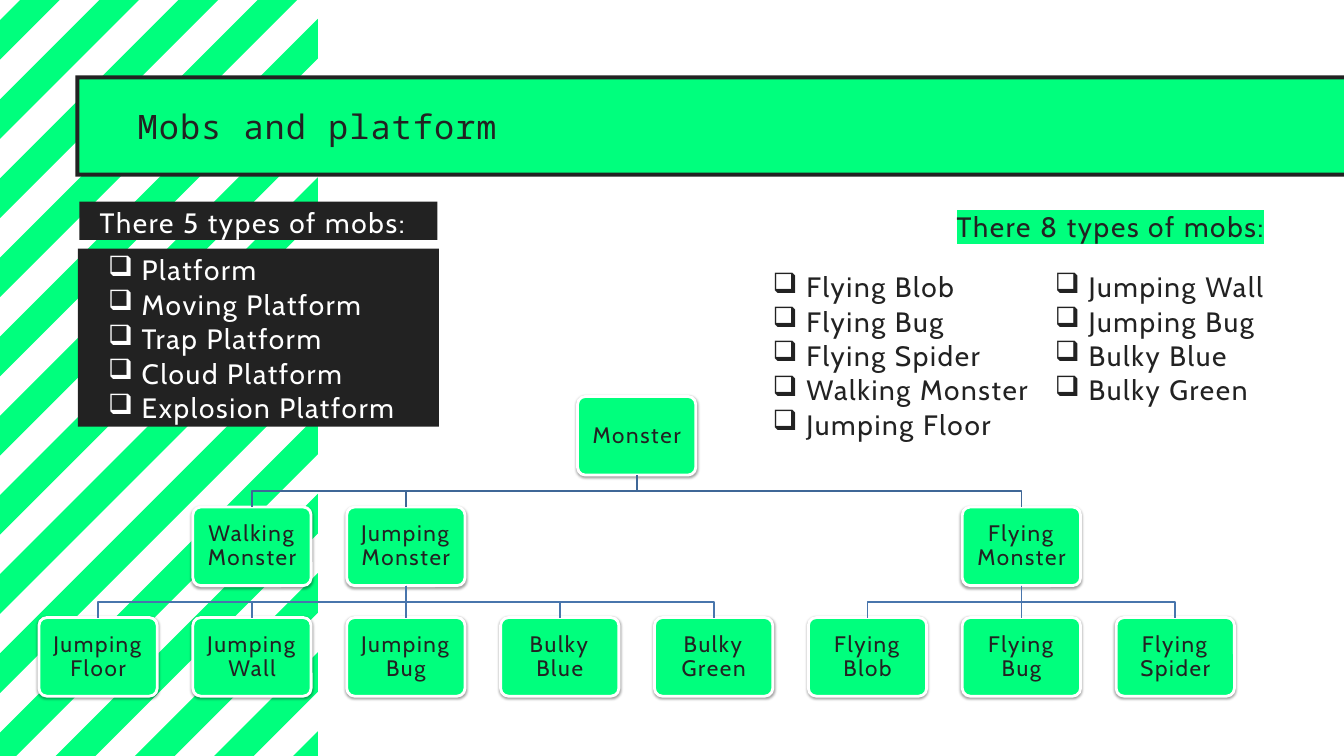
from lxml import etree
from pptx import Presentation
from pptx.dml.color import RGBColor
from pptx.enum.shapes import MSO_CONNECTOR, MSO_SHAPE
from pptx.enum.text import MSO_ANCHOR, PP_ALIGN
from pptx.oxml.ns import qn
from pptx.util import Inches, Pt

RECTANGLE, ROUNDED, FRAME = MSO_SHAPE.RECTANGLE, MSO_SHAPE.ROUNDED_RECTANGLE, MSO_SHAPE.FRAME
STRAIGHT = MSO_CONNECTOR.STRAIGHT
LEFT, RIGHT, CENTER, JUSTIFY = PP_ALIGN.LEFT, PP_ALIGN.RIGHT, PP_ALIGN.CENTER, PP_ALIGN.JUSTIFY
TOP, MIDDLE = MSO_ANCHOR.TOP, MSO_ANCHOR.MIDDLE

GREEN = RGBColor(0x00, 0xFF, 0x7D)
INK = RGBColor(0x22, 0x22, 0x22)
WHITE = RGBColor(0xFF, 0xFF, 0xFF)
BRANCH_COLORS = [RGBColor(0x3F, 0x67, 0x97), RGBColor(0x48, 0x75, 0xAC)]

TITLE = "Mobs and platform"
PLATFORM_HEADING = "There 5 types of mobs:"
PLATFORMS = ["Platform", "Moving Platform", "Trap Platform", "Cloud Platform", "Explosion Platform"]
MOB_HEADING = "There 8 types of mobs:"
MOB_COLUMNS = [
    (11.05, 2.65, ["Flying Blob", "Flying Bug", "Flying Spider", "Walking Monster", "Jumping Floor"]),
    (15.25, 2.15, ["Jumping Wall", "Jumping Bug", "Bulky Blue", "Bulky Green"]),
]
TREE = ("Monster", 3.5, [
    ("Walking Monster", 1, []),
    ("Jumping Monster", 2, [
        ("Jumping Floor", 0, []),
        ("Jumping Wall", 1, []),
        ("Jumping Bug", 2, []),
        ("Bulky Blue", 3, []),
        ("Bulky Green", 4, []),
    ]),
    ("Flying Monster", 6, [
        ("Flying Blob", 5, []),
        ("Flying Bug", 6, []),
        ("Flying Spider", 7, []),
    ]),
])

SLIDE_W, SLIDE_H = 20, 11.25
STRIPES_LEFT, STRIPES_TOP, STRIPES_SIZE = -16.82, -4.19, 21.55
STRIPE_START, STRIPE_PITCH, STRIPE_WIDTH, STRIPES_EACH_WAY = 0.3, 1.178, 0.59, 18
CARD_W, CARD_H = 1.76, 1.17
TREE_LEFT, TREE_TOP, COLUMN_PITCH, LEVEL_PITCH = 0.58, 5.9, 2.29, 1.645

prs = Presentation()
prs.slide_width, prs.slide_height = Inches(SLIDE_W), Inches(SLIDE_H)
slide = prs.slides.add_slide(prs.slide_layouts[6])
shapes = slide.shapes


def add_box(preset, x, y, w, h, fill):
    box = shapes.add_shape(preset, Inches(x), Inches(y), Inches(w), Inches(h))
    box.shadow.inherit = False
    box.fill.solid()
    box.fill.fore_color.rgb = fill
    box.line.fill.background()
    return box


def add_textbox(x, y, w, h):
    return shapes.add_textbox(Inches(x), Inches(y), Inches(w), Inches(h))


def write(holder, lines, size=30, color=INK, font="Cabin", tracking=1.8, spacing=Pt(36.9),
          align=LEFT, anchor=TOP, margins=(0.1, 0.05, 0.1, 0.05)):
    frame = holder.text_frame
    frame.text = "\n".join(lines)
    frame.word_wrap = True
    frame.vertical_anchor = anchor
    (frame.margin_left, frame.margin_top,
     frame.margin_right, frame.margin_bottom) = map(Inches, margins)
    for paragraph in frame.paragraphs:
        paragraph.alignment = align
        paragraph.line_spacing = spacing
        for run in paragraph.runs:
            run.font.size, run.font.name = Pt(size), font
            run.font.color.rgb = color
            run.font._element.set("spc", str(round(tracking * 100)))


def write_checklist(holder, items, color=INK):
    write(holder, items, color=color, align=JUSTIFY)
    for paragraph in holder.text_frame.paragraphs:
        properties = paragraph._p.get_or_add_pPr()
        properties.set("marL", str(Inches(0.85)))
        properties.set("indent", str(Inches(-0.5)))
        etree.SubElement(properties, qn("a:buChar")).set("char", "❑")


def highlight(run, color):
    mark = etree.Element(qn("a:highlight"))
    etree.SubElement(mark, qn("a:srgbClr")).set("val", str(color))
    run.font._element.find(qn("a:solidFill")).addnext(mark)


def add_card_shadow(card):
    effects = card._element.spPr.find(qn("a:effectLst"))
    shadow = etree.SubElement(effects, qn("a:outerShdw"), blurRad=str(Pt(3.1)),
                              dist=str(Pt(1.6)), dir="5400000", rotWithShape="0")
    black = etree.SubElement(shadow, qn("a:srgbClr"), val="000000")
    etree.SubElement(black, qn("a:alpha"), val="38000")


def stripe_outline(low):
    high = low + STRIPE_WIDTH
    right, bottom = STRIPES_LEFT + STRIPES_SIZE, STRIPES_TOP + STRIPES_SIZE

    def upper(total):
        x = min(right, total - STRIPES_TOP)
        return x, total - x

    def lower(total):
        x = max(STRIPES_LEFT, total - bottom)
        return x, total - x

    holds_corners = low < right + STRIPES_TOP < high
    top_corner = [(right, STRIPES_TOP)] if holds_corners else []
    bottom_corner = [(STRIPES_LEFT, bottom)] if holds_corners else []
    return [upper(high), *top_corner, upper(low), lower(low), *bottom_corner, lower(high)]


def to_emu(points):
    return [(Inches(x), Inches(y)) for x, y in points]


def add_stripes():
    builder = None
    for k in range(-STRIPES_EACH_WAY, STRIPES_EACH_WAY + 1):
        first, *rest = to_emu(stripe_outline(STRIPE_START + k * STRIPE_PITCH))
        if builder is None:
            builder = shapes.build_freeform(*first)
        else:
            builder.move_to(*first)
        builder.add_line_segments(rest, close=True)
    stripes = builder.convert_to_shape()
    stripes.shadow.inherit = False
    stripes.fill.solid()
    stripes.fill.fore_color.rgb = GREEN
    stripes.line.fill.background()


def add_branch(parent, child, start, end, color):
    if start[0] == end[0]:
        (x1, y1), (x2, y2) = to_emu([start, end])
        branch = shapes.add_connector(STRAIGHT, x1, y1, x2, y2)
        branch.begin_connect(parent, 0 + 2)
        branch.end_connect(child, 0)
        etree.SubElement(branch._element.spPr, qn("a:effectLst"))
    else:
        bend = (start[1] + end[1]) / 2
        first, *rest = to_emu([start, (start[0], bend), (end[0], bend), end])
        builder = shapes.build_freeform(*first)
        builder.add_line_segments(rest, close=False)
        branch = builder.convert_to_shape()
        branch.shadow.inherit = False
        branch.fill.background()
    branch.line.color.rgb = color
    branch.line.width = Pt(2)


def add_tree(node, level=0):
    label, column, children = node
    x, y = TREE_LEFT + column * COLUMN_PITCH, TREE_TOP + level * LEVEL_PITCH
    card = add_box(ROUNDED, x, y, CARD_W, CARD_H, GREEN)
    card.adjustments[0] = 0.1
    card.line.color.rgb = WHITE
    card.line.width = Pt(3)
    add_card_shadow(card)
    write(card, [label], size=24, spacing=0.9, align=CENTER, anchor=MIDDLE, margins=(0.1,) * 4)
    middle = x + CARD_W / 2
    for child in children:
        child_card, child_top = add_tree(child, level + 1)
        add_branch(card, child_card, (middle, y + CARD_H), child_top, BRANCH_COLORS[level])
    return card, (middle, y)


add_stripes()

add_box(RECTANGLE, 1.16, 1.16, 19.83, 1.45, GREEN)
title_border = add_box(FRAME, 1.12, 1.12, 19.89, 1.51, INK)
title_border.adjustments[0] = 0.04
write(add_textbox(2.05, 1.58, 11.86, 0.6), [TITLE], size=36, font="Noto Sans Mono",
      tracking=1.1, spacing=Pt(43.2), margins=(0,) * 4)

for x, height, mobs in MOB_COLUMNS:
    write_checklist(add_textbox(x, 3.95, 4.75, height), mobs)
mob_heading = add_textbox(13.91, 3.05, 5, 0.57)
write(mob_heading, [MOB_HEADING], align=RIGHT)
highlight(mob_heading.text_frame.paragraphs[0].runs[0], GREEN)

add_tree(TREE)

platform_heading = add_box(RECTANGLE, 1.18, 3, 5.33, 0.57, INK)
write(platform_heading, [PLATFORM_HEADING], color=WHITE, align=RIGHT, margins=(0.1, 0.05, 0.48, 0.05))
write_checklist(add_box(RECTANGLE, 1.16, 3.7, 5.37, 2.65, INK), PLATFORMS, color=WHITE)

prs.save("out.pptx")
